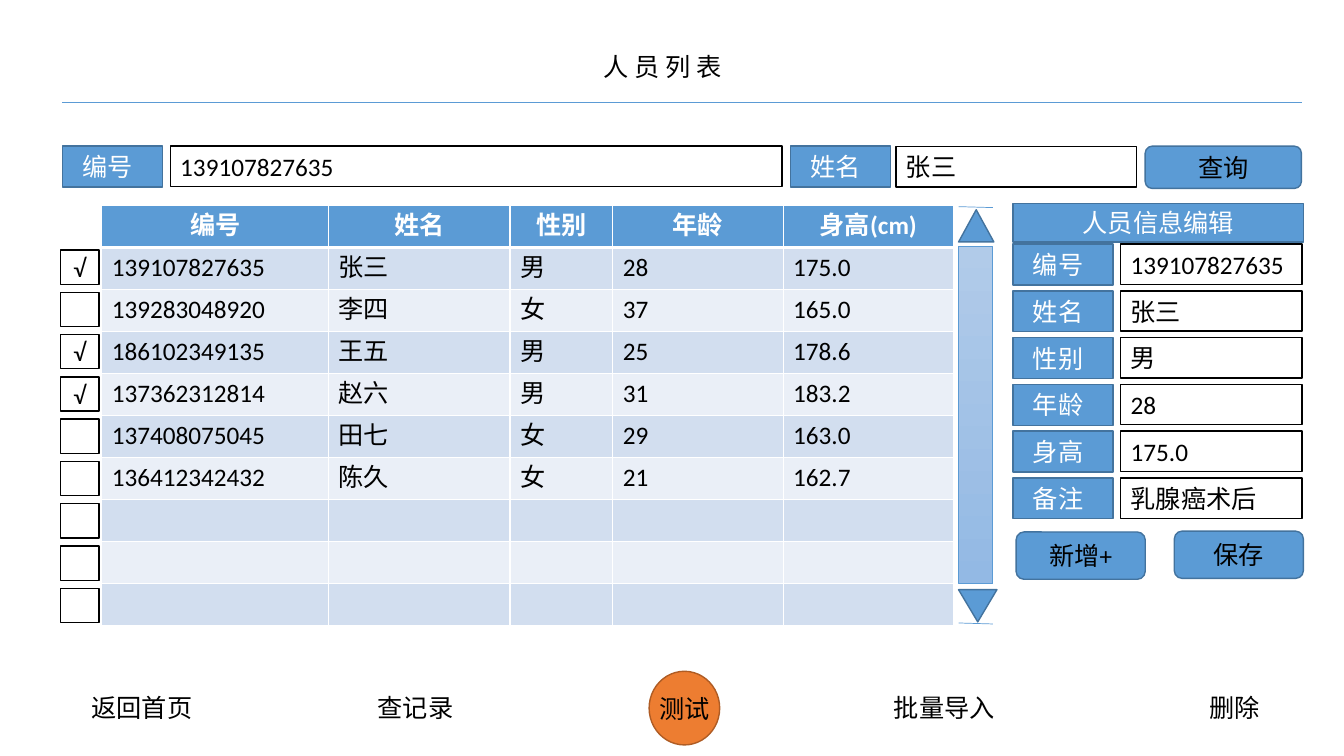
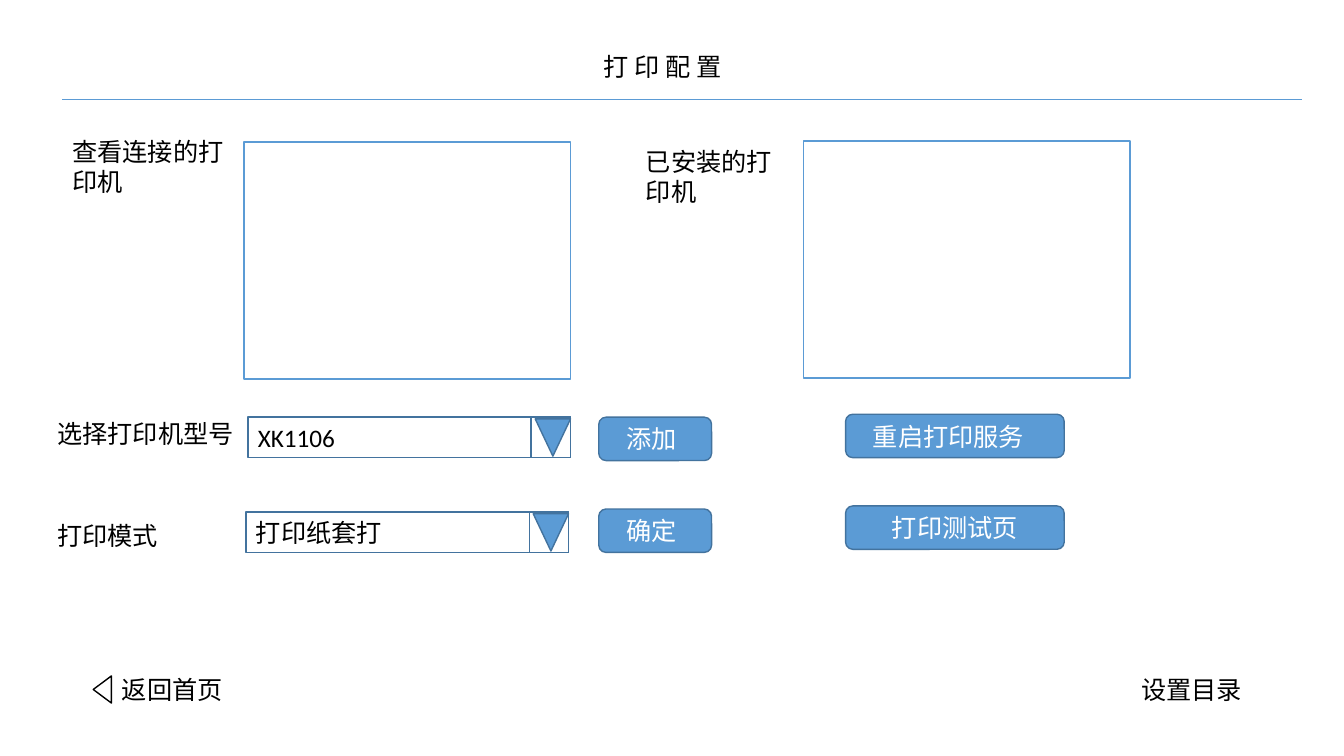
from lxml import etree
from pptx import Presentation
from pptx.dml.color import RGBColor
from pptx.enum import shapes, text
from pptx.oxml import ns
from pptx.util import Pt

BLUE = RGBColor(0x5B, 0x9B, 0xD5)
DARK_BLUE = RGBColor(0x43, 0x73, 0x9E)
ORANGE = RGBColor(0xED, 0x7D, 0x31)
DARK_ORANGE = RGBColor(0xAF, 0x5C, 0x24)
BAND_DARK = RGBColor(0xD2, 0xDE, 0xEF)
BAND_LIGHT = RGBColor(0xEA, 0xEF, 0xF7)
SCROLL_TOP = RGBColor(0xB1, 0xCB, 0xE9)
SCROLL_BOTTOM = RGBColor(0x93, 0xB9, 0xE4)
WHITE = RGBColor(0xFF, 0xFF, 0xFF)
BLACK = RGBColor(0x00, 0x00, 0x00)

BODY_FONT = "Calibri"
TITLE_FONT = "Noto Sans CJK SC"
FONT_SIZE = 18
SHAPE = shapes.MSO_SHAPE
LEFT, CENTER = text.PP_ALIGN.LEFT, text.PP_ALIGN.CENTER


class Screen:
    """Draws the elements of a form screen in one shared style."""

    def __init__(self, presentation):
        self.presentation = presentation
        self.slide = None

    def start(self, title, rule_top):
        self.slide = self.presentation.slides.add_slide(self.presentation.slide_layouts[6])
        self.label(200, 33.1, 547, title, CENTER, TITLE_FONT)
        self.line(44.6, rule_top, 930.2, rule_top)

    def add_words(self, frame, words, color=BLACK, align=LEFT, font=BODY_FONT, bold=False):
        paragraph = frame.paragraphs[0]
        paragraph.alignment = align
        run = paragraph.add_run()
        run.text = words
        run.font.size = Pt(FONT_SIZE)
        run.font.name = font
        run.font.bold = bold
        run.font.color.rgb = color
        properties = run._r.get_or_add_rPr()
        properties.set("lang", "zh-CN")
        etree.SubElement(properties, ns.qn("a:ea"), typeface=BODY_FONT)

    def label(self, left, top, width, words, align=LEFT, font=BODY_FONT, height=28.8):
        box = self.slide.shapes.add_textbox(Pt(left), Pt(top), Pt(width), Pt(height))
        box.text_frame.word_wrap = True
        self.add_words(box.text_frame, words, align=align, font=font)

    def line(self, left, top, right, bottom):
        connector = self.slide.shapes.add_connector(
            shapes.MSO_CONNECTOR.STRAIGHT, Pt(left), Pt(top), Pt(right), Pt(bottom))
        connector.line.color.rgb = BLUE
        connector.line.width = Pt(0.5)
        etree.SubElement(connector._element.spPr, ns.qn("a:effectLst"))

    def shape(self, kind, left, top, width, height, fill=BLUE, line=DARK_BLUE, rotation=0):
        shape = self.slide.shapes.add_shape(kind, Pt(left), Pt(top), Pt(width), Pt(height))
        shape.shadow.inherit = False
        shape.rotation = rotation
        if fill is None:
            shape.fill.background()
        else:
            shape.fill.solid()
            shape.fill.fore_color.rgb = fill
        shape.line.color.rgb = line
        shape.line.width = Pt(1)
        return shape

    def caption(self, shape, words, color=BLACK, align=CENTER, inset=0):
        frame = shape.text_frame
        frame.margin_left = Pt(inset)
        frame.margin_right = frame.margin_top = frame.margin_bottom = 0
        frame.vertical_anchor = text.MSO_ANCHOR.MIDDLE
        frame.word_wrap = False
        self.add_words(frame, words, color, align)

    def tag(self, left, top, words):
        shape = self.shape(SHAPE.RECTANGLE, left, top, 71.4, 29.2)
        self.caption(shape, words, WHITE, LEFT, 14.2)

    def field(self, left, top, width, words, fill=WHITE, line=BLACK):
        shape = self.shape(SHAPE.RECTANGLE, left, top, width, 28.8, fill, line)
        self.caption(shape, words, BLACK, LEFT, 7.2)

    def button(self, left, top, width, height, words, color=BLACK, align=CENTER, inset=0):
        shape = self.shape(SHAPE.ROUNDED_RECTANGLE, left, top, width, height)
        self.caption(shape, words, color, align, inset)

    def dropdown(self, left, top, words):
        self.field(left, top, 230.4, words, None, DARK_BLUE)
        self.shape(SHAPE.ISOSCELES_TRIANGLE, left + 205.2, top + 1.2, 25.2, 26.6, rotation=180)
        self.shape(SHAPE.RECTANGLE, left + 202.3, top, 28.1, 28.8, None)

    def checkbox(self, left, top, checked):
        shape = self.shape(SHAPE.RECTANGLE, left, top, 27.4, 24.5, WHITE, BLACK)
        if checked:
            self.caption(shape, "√")

    def scrollbar(self, left):
        bar = self.shape(SHAPE.RECTANGLE, left, 175.7, 24.5, 241.2, line=BLUE)
        bar.line.width = Pt(0.5)
        bar.fill.gradient()
        bar.fill.gradient_angle = 270
        for stop, color in zip(bar.fill.gradient_stops, (SCROLL_TOP, SCROLL_BOTTOM)):
            stop.color.rgb = color
        self.shape(SHAPE.ISOSCELES_TRIANGLE, left, 149.8, 25.2, 23)
        self.shape(SHAPE.ISOSCELES_TRIANGLE, left, 421.2, 27.4, 23, rotation=180)
        for top in (147.6, 445):
            self.line(left, top, left + 24.5, top + 0.7)

    def border(self, cell, is_header):
        properties = cell._tc.get_or_add_tcPr()
        for side in "LRTB":
            width = Pt(3 if is_header and side == "B" else 1)
            edge = etree.SubElement(properties, ns.qn(f"a:ln{side}"), w=str(width))
            fill = etree.SubElement(edge, ns.qn("a:solidFill"))
            etree.SubElement(fill, ns.qn("a:srgbClr"), val=str(WHITE))

    def table(self, left, top, widths, row_height, rows):
        frame = self.slide.shapes.add_table(
            len(rows), len(widths), Pt(left), Pt(top),
            Pt(sum(widths)), Pt(row_height * len(rows)))
        for column, width in zip(frame.table.columns, widths):
            column.width = Pt(width)
        for row_index, row in enumerate(rows):
            is_header = row_index == 0
            band = BLUE if is_header else BAND_DARK if row_index % 2 else BAND_LIGHT
            for column_index, words in enumerate(row):
                cell = frame.table.cell(row_index, column_index)
                self.border(cell, is_header)
                cell.fill.solid()
                cell.fill.fore_color.rgb = band
                if words:
                    self.add_words(cell.text_frame, words, WHITE if is_header else BLACK,
                                   CENTER if is_header else LEFT, bold=is_header)


PEOPLE = [
    ("编号", "姓名", "性别", "年龄", "身高(cm)"),
    ("139107827635", "张三", "男", "28", "175.0"),
    ("139283048920", "李四", "女", "37", "165.0"),
    ("186102349135", "王五", "男", "25", "178.6"),
    ("137362312814", "赵六", "男", "31", "183.2"),
    ("137408075045", "田七", "女", "29", "163.0"),
    ("136412342432", "陈久", "女", "21", "162.7"),
] + [("",) * 5] * 3

DETAILS = [("编号", "139107827635"), ("姓名", "张三"), ("性别", "男"),
           ("年龄", "28"), ("身高", "175.0"), ("备注", "乳腺癌术后")]


def build_people(screen):
    screen.start("人 员 列 表", 73)
    screen.tag(44.6, 104.4, "编号")
    screen.field(121.7, 104.4, 437, "139107827635")
    screen.tag(564.5, 104.4, "姓名")
    screen.field(640, 104.8, 172, "张三")
    screen.button(818, 104.4, 111.6, 30.2, "查询")

    screen.table(72.7, 146.9, (162, 129.6, 73.4, 121.7, 121.7), 30, PEOPLE)
    for index in range(9):
        screen.checkbox(43.2, 178.6 + 30.2 * index, index in (0, 2, 3))
    screen.scrollbar(684.7)

    heading = screen.shape(SHAPE.RECTANGLE, 723.6, 145.4, 207.4, 27.4)
    screen.caption(heading, "人员信息编辑", WHITE)
    for index, (name, value) in enumerate(DETAILS):
        top = 174.4 + 33.4 * index
        screen.tag(723.6, top, name)
        screen.field(800.6, top, 129.6, value)
    screen.button(725.8, 380, 92.2, 33.8, "新增+")
    screen.button(838.8, 379.4, 92.2, 33.8, "保存")

    circle = screen.shape(SHAPE.OVAL, 463.7, 479.5, 50.4, 52.6, ORANGE, DARK_ORANGE)
    screen.caption(circle, "测试")
    for left, words in ((58.3, "返回首页"), (262.8, "查记录"),
                        (631.4, "批量导入"), (856.6, "删除")):
        screen.label(left, 491, 92, words)


def build_printing(screen):
    screen.start("打 印 配 置", 71.3)
    screen.label(44.6, 93.6, 131.8, "查看连接的打印机", height=51)
    screen.label(454.3, 100.8, 113, "已安装的打印机", height=51)
    for left, top in ((174.2, 101.5), (573.8, 100.8)):
        screen.shape(SHAPE.RECTANGLE, left, top, 233.3, 169.2, WHITE, BLUE)

    screen.label(33.8, 295.2, 143.3, "选择打印机型号")
    screen.dropdown(177.1, 298, "XK1106")
    screen.label(33.8, 367.9, 143.3, "打印模式")
    screen.dropdown(175.7, 365.8, "打印纸套打")
    for top, words in ((298, "添加"), (363.6, "确定")):
        screen.button(427.7, top, 80.6, 31, words, WHITE, LEFT, 18)
    screen.button(604, 295.9, 156.2, 31, "重启打印服务", WHITE, LEFT, 18)
    screen.button(604, 361.4, 156.2, 31, "打印测试页", WHITE)

    screen.shape(SHAPE.ISOSCELES_TRIANGLE, 63.4, 486, 19.4, 13, WHITE, BLACK, 270)
    for left, words in ((80, "返回首页"), (808, "设置目录")):
        screen.label(left, 478, 92, words)


def main():
    presentation = Presentation()
    presentation.slide_width, presentation.slide_height = Pt(960), Pt(540)
    screen = Screen(presentation)
    build_people(screen)
    build_printing(screen)
    presentation.save("out.pptx")


if __name__ == "__main__":
    main()
